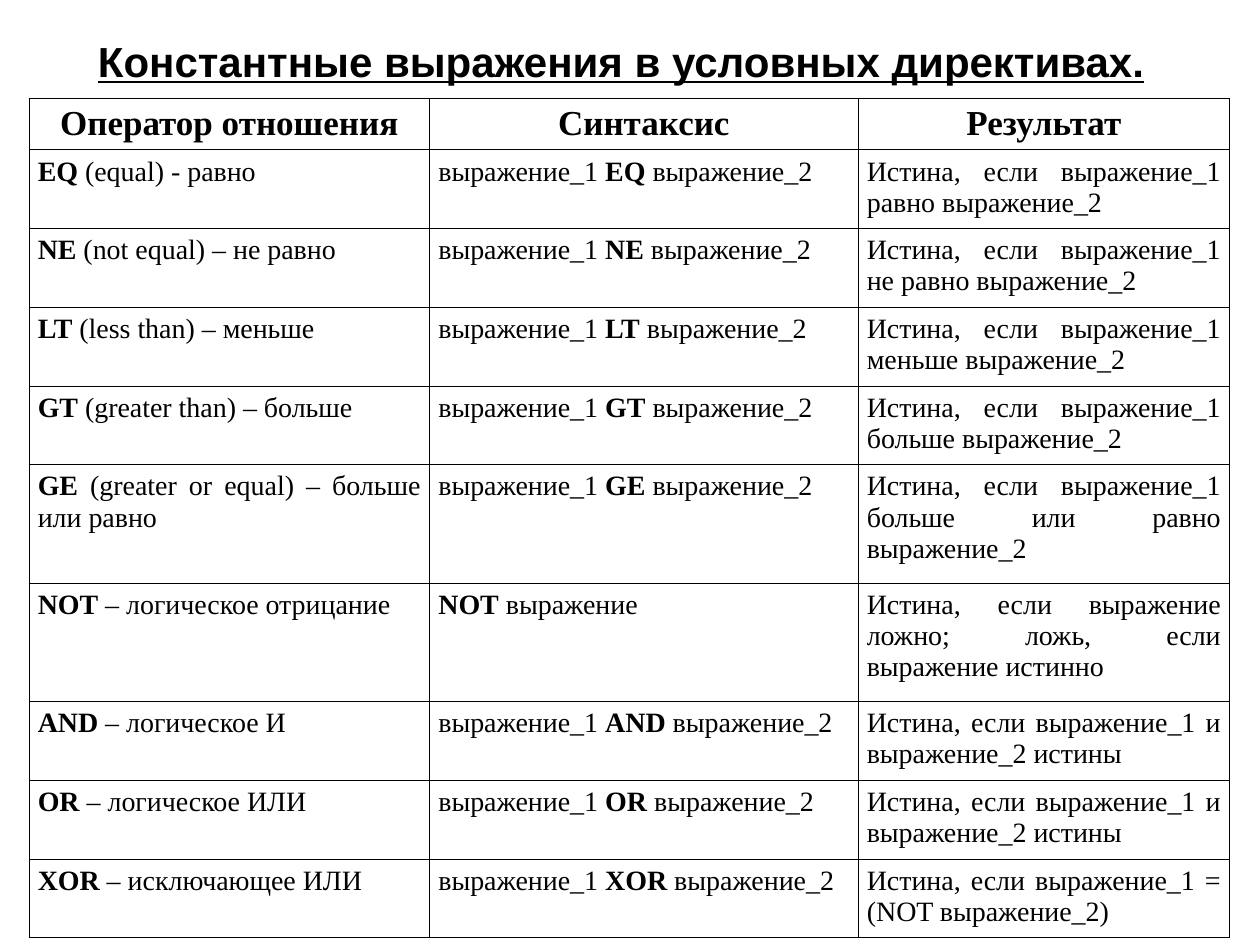
from dataclasses import dataclass

from lxml import etree
from pptx import Presentation
from pptx import util as u
from pptx.dml.color import RGBColor
from pptx.enum import text
from pptx.oxml.ns import qn


@dataclass(frozen=True)
class Theme:
    ink: RGBColor = RGBColor(0, 0, 0)
    title_font: str = "Arial"
    table_font: str = "Times New Roman"
    title_size: int = 24
    header_size: int = 20
    cell_size: int = 16
    border_width: float = 0.45


THEME = Theme()

TITLE = "Константные выражения в условных директивах."
HEADERS = ("Оператор отношения", "Синтаксис", "Результат")
BINARY = "выражение_1 {} выражение_2"

# Operator, description, syntax pattern, result
OPERATORS = [
    ("EQ", " (equal) - равно", BINARY, "Истина, если выражение_1 равно выражение_2"),
    ("NE", " (not equal) – не равно", BINARY, "Истина, если выражениe_1 не равно выражение_2"),
    ("LT", " (less than) – меньше", BINARY, "Истина, если выражениe_1 меньше выражение_2"),
    ("GT", " (greater than) – больше", BINARY, "Истина, если выражениe_1 больше выражение_2"),
    ("GE", " (greater or equal) – больше или равно", BINARY,
     "Истина, если выражениe_1 больше или равно выражение_2"),
    ("NOT", " – логическое отрицание", "{} выражение",
     "Истина, если выражение ложно; ложь, если выражение истинно"),
    ("AND", " – логическое И", BINARY, "Истина, если выражение_1 и выражение_2 истины"),
    ("OR", " – логическое ИЛИ", BINARY, "Истина, если выражение_1 и выражение_2 истины"),
    ("XOR", " – исключающее ИЛИ", BINARY, "Истина, если выражение_1 = (NOT выражение_2)"),
]

COLUMN_WIDTHS = (3.18, 3.4, 2.95)
HEADER_HEIGHT, TWO_LINES, THREE_LINES = 0.33, 0.625, 0.94
THREE_LINE_OPERATORS = ("GE", "NOT")


def style_span(span, font, size, bold):
    span.font.name = font
    span.font.size = u.Pt(size)
    span.font.bold = bold
    span.font.color.rgb = THEME.ink


def add_borders(cell):
    properties = cell._tc.get_or_add_tcPr()
    for position, side in enumerate(("lnL", "lnR", "lnT", "lnB")):
        line = etree.Element(qn(f"a:{side}"), w=str(u.Pt(THEME.border_width)))
        fill = etree.SubElement(line, qn("a:solidFill"))
        etree.SubElement(fill, qn("a:srgbClr"), val=str(THEME.ink))
        properties.insert(position, line)


def fill_cell(cell, parts, size, alignment):
    """Write (wording, bold) parts into a bordered cell."""
    cell.fill.background()
    cell.margin_left = cell.margin_right = u.Inches(0.07)
    cell.margin_top = cell.margin_bottom = u.Inches(0.05)
    para = cell.text_frame.paragraphs[0]
    para.alignment = alignment
    for wording, bold in parts:
        span = para.add_run()
        span.text = wording
        style_span(span, THEME.table_font, size, bold)
    add_borders(cell)


def bold_operator(wording, operator):
    before, found, after = wording.partition(operator)
    return [(part, part == operator) for part in (before, found, after) if part]


def place_title(page, left, top, width, height):
    box = page.shapes.title
    box.left, box.top, box.width, box.height = map(u.Inches, (left, top, width, height))
    frame = box.text_frame
    frame.text = TITLE
    frame.auto_size = text.MSO_AUTO_SIZE.NONE
    frame.vertical_anchor = text.MSO_ANCHOR.MIDDLE
    para = frame.paragraphs[0]
    para.alignment = text.PP_ALIGN.CENTER
    style_span(para.runs[0], THEME.title_font, THEME.title_size, True)
    para.runs[0].font.underline = True


def place_table(page, left, top):
    heights = [HEADER_HEIGHT] + [
        THREE_LINES if operator in THREE_LINE_OPERATORS else TWO_LINES
        for operator, *_ in OPERATORS
    ]
    size = (sum(COLUMN_WIDTHS), sum(heights))
    table = page.shapes.add_table(
        len(heights), len(COLUMN_WIDTHS), *map(u.Inches, (left, top, *size))
    ).table
    table.first_row = table.horz_banding = False
    for column, width in zip(table.columns, COLUMN_WIDTHS):
        column.width = u.Inches(width)
    for row, height in zip(table.rows, heights):
        row.height = u.Inches(height)

    # Header row
    for cell, wording in zip(table.rows[0].cells, HEADERS):
        fill_cell(cell, [(wording, True)], THEME.header_size, text.PP_ALIGN.CENTER)

    # One row for each operator
    for number, (operator, description, syntax, result) in enumerate(OPERATORS, 1):
        wordings = (operator + description, syntax.format(operator), result)
        for cell, wording in zip(table.rows[number].cells, wordings):
            fill_cell(cell, bold_operator(wording, operator),
                      THEME.cell_size, text.PP_ALIGN.JUSTIFY)


def main():
    deck = Presentation()
    deck.slide_width, deck.slide_height = u.Inches(10), u.Inches(7.5)
    page = deck.slides.add_slide(deck.slide_layouts.get_by_name("Title Only"))
    place_title(page, 0.43, 0.21, 9, 0.54)
    place_table(page, 0.23, 0.78)
    deck.save("out.pptx")


if __name__ == "__main__":
    main()
